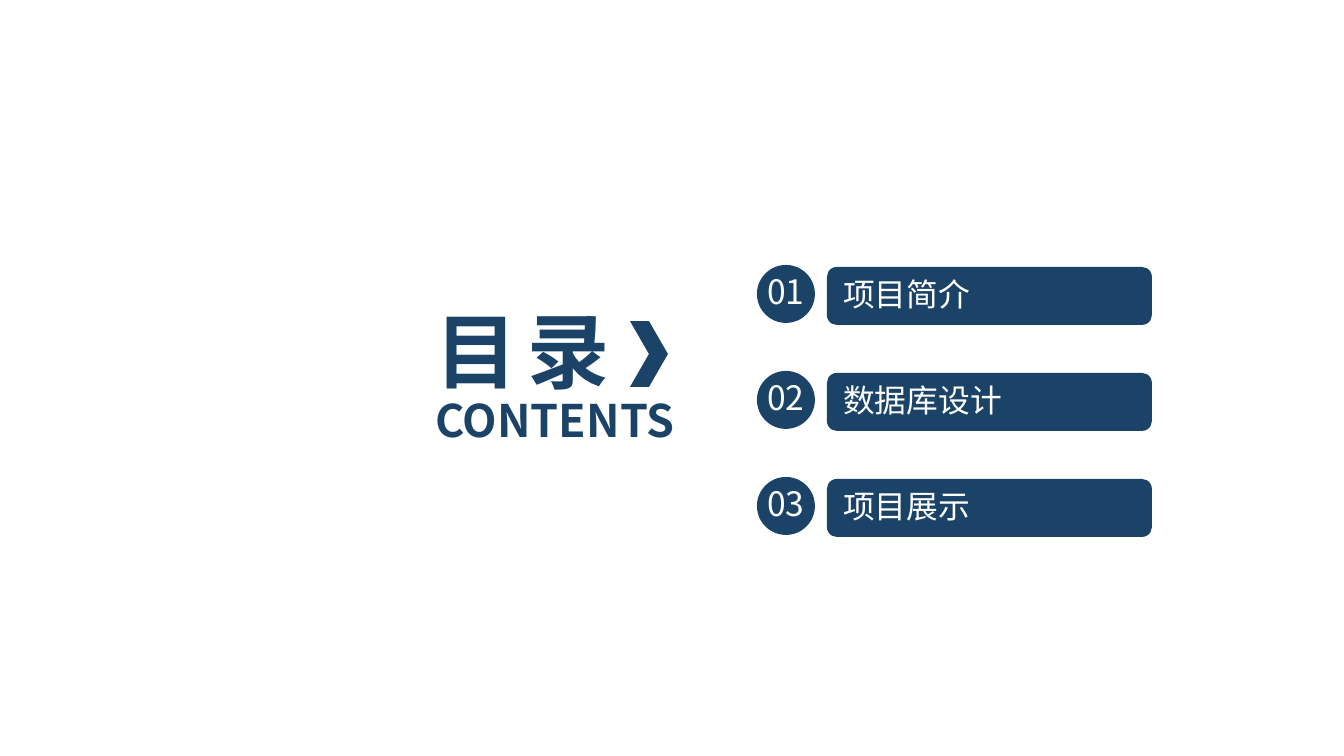
from pptx import Presentation
from pptx.dml.color import RGBColor
from pptx.enum.shapes import MSO_SHAPE
from pptx.enum.text import MSO_ANCHOR, PP_ALIGN
from pptx.oxml.ns import qn
from pptx.util import Pt
from lxml.etree import SubElement

EMU_PER_PX = 914400 / 134.4
COLORS = {"navy": "1B4367", "white": "FFFFFF"}
FONT = "Noto Sans CJK SC"


def px(length):
    return round(length * EMU_PER_PX)


class ContentsSlide:
    def __init__(self, slide):
        self.slide = slide

    def shape(self, kind, left, top, width, height, parent=None):
        parent = parent or self.slide
        part = parent.shapes.add_shape(kind, px(left), px(top), px(width), px(height))
        part.fill.solid()
        part.fill.fore_color.rgb = RGBColor.from_string(COLORS["navy"])
        part.line.fill.background()
        part.shadow.inherit = False
        return part

    def label(self, text, left, top, width, height, parent=None, **style):
        parent = parent or self.slide
        box = parent.shapes.add_textbox(px(left), px(top), px(width), px(height))
        self.set_text(box, text, **style)

    def set_text(self, holder, text, size, color, bold=False,
                 align=PP_ALIGN.LEFT, spacing=None):
        """Set one line of text; spacing is in hundredths of a point."""
        frame = holder.text_frame
        frame.word_wrap = True
        frame.vertical_anchor = MSO_ANCHOR.MIDDLE
        frame.margin_top, frame.margin_bottom = 0, px(5)
        line = frame.paragraphs[0]
        line.alignment = align
        run = line.add_run()
        run.text = text
        font = run.font
        font.name, font.size, font.bold = FONT, Pt(size), bold
        font.color.rgb = RGBColor.from_string(COLORS[color])
        properties = run._r.get_or_add_rPr()
        SubElement(properties, qn("a:ea")).set("typeface", FONT)
        if spacing is not None:
            properties.set("spc", str(spacing))

    def entry(self, number, topic, top):
        """Add a numbered circle with its topic bar."""
        bar = self.shape(MSO_SHAPE.ROUNDED_RECTANGLE, 827, top + 2, 325, 58)
        bar.adjustments[0] = 0.17
        self.set_text(bar, topic, size=17, color="white")
        badge = self.slide.shapes.add_group_shape()
        self.shape(MSO_SHAPE.OVAL, 757, top, 58, 58, badge)
        self.label(f"{number:02}", 751, top + 2, 70, 54, badge,
                   size=18, color="white", align=PP_ALIGN.CENTER)


def main():
    deck = Presentation()
    deck.slide_width, deck.slide_height = px(1344), px(756)
    contents = ContentsSlide(deck.slides.add_slide(deck.slide_layouts[6]))

    contents.label("目 录", 422, 296, 316, 113,
                   size=44, color="navy", bold=True, spacing=-220)
    contents.label("CONTENTS", 422, 388, 310, 69,
                   size=24, color="navy", bold=True)
    topics = ["项目简介", "数据库设计", "项目展示"]
    for index, topic in enumerate(topics):
        contents.entry(index + 1, topic, 265 + index * 106)
    contents.shape(MSO_SHAPE.CHEVRON, 630, 321, 38, 66)

    deck.save("out.pptx")


if __name__ == "__main__":
    main()
